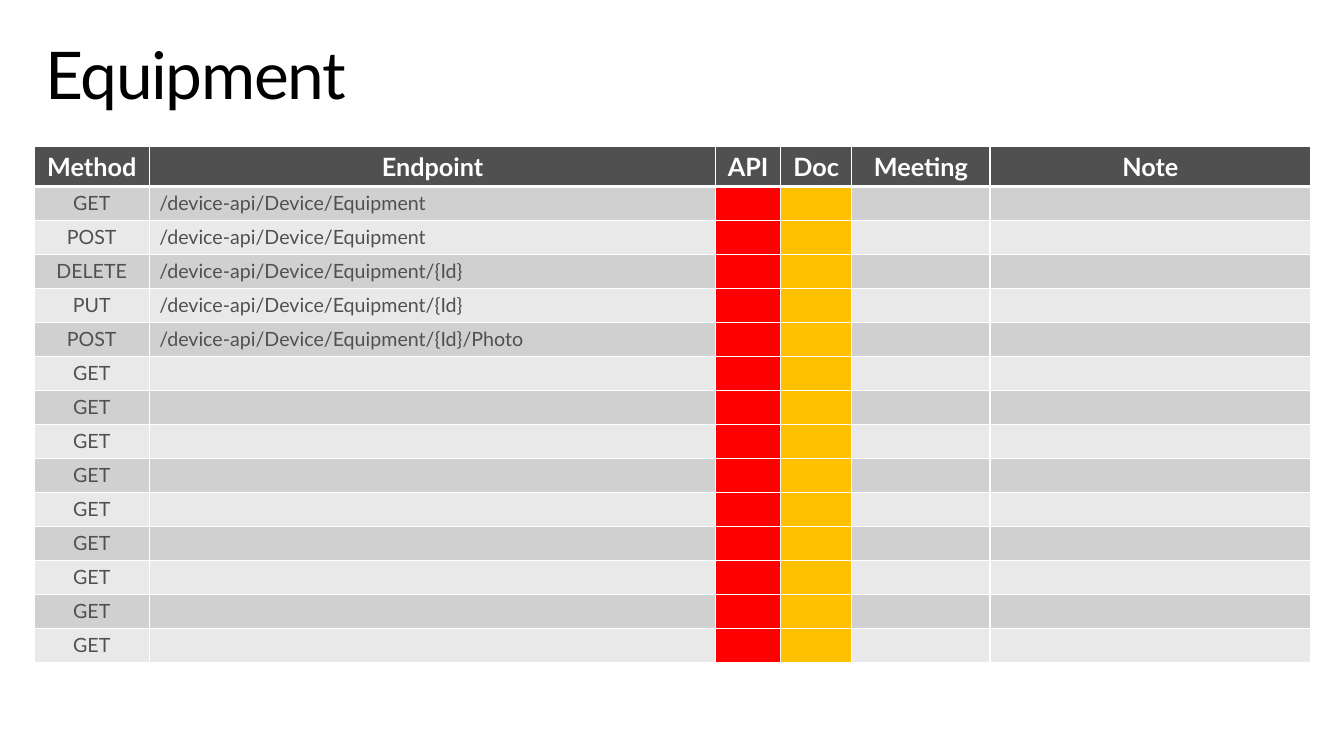
from lxml import etree
from pptx import Presentation
from pptx.dml.color import RGBColor
from pptx.enum import text
from pptx.oxml.ns import qn
from pptx.util import Inches, Pt

# Content
TITLE = "Equipment"
HEADERS = ["Method", "Endpoint", "API", "Doc", "Meeting", "Note"]
BASE = "/device-api/Device/Equipment"
CALLS = [
    ("GET", BASE),
    ("POST", BASE),
    ("DELETE", BASE + "/{Id}"),
    ("PUT", BASE + "/{Id}"),
    ("POST", BASE + "/{Id}/Photo"),
] + [("GET", "")] * 9

# Style
FONT = "Lato"
BLACK = RGBColor(0, 0, 0)
WHITE = RGBColor(0xFF, 0xFF, 0xFF)
GREY = RGBColor(0x50, 0x50, 0x50)
BANDS = [RGBColor(0xD0, 0xD0, 0xD0), RGBColor(0xE9, 0xE9, 0xE9)]
STATUS = {"API": RGBColor(0xFF, 0, 0), "Doc": RGBColor(0xFF, 0xC0, 0)}
COL_WIDTHS = [1.14, 5.62, 0.64, 0.71, 1.37, 3.18]
HEAD_HEIGHT, ROW_HEIGHT = 0.38, 0.32


def set_font(font, size, color, bold=False):
    font.name, font.size, font.bold = FONT, Pt(size), bold
    font.color.rgb = color


def set_borders(cell, **widths):
    """Give the cell white borders; the fill must follow them in the XML."""
    tc_pr = cell._tc.get_or_add_tcPr()
    for side in ("L", "R", "T", "B"):
        ln = etree.SubElement(tc_pr, qn("a:ln" + side), w=str(Pt(widths.get(side, 1))))
        fill = etree.SubElement(ln, qn("a:solidFill"))
        etree.SubElement(fill, qn("a:srgbClr"), val=str(WHITE))


def fill_cell(cell, words, color, size, font_color, bold, centered):
    cell.fill.solid()
    cell.fill.fore_color.rgb = color
    p = cell.text_frame.paragraphs[0]
    p.alignment = text.PP_ALIGN.CENTER if centered else text.PP_ALIGN.LEFT
    if words:
        p.text = words
        set_font(p.font, size, font_color, bold)
    else:  # an empty cell keeps its row low only with a small end mark
        etree.SubElement(p._p, qn("a:endParaRPr"), sz=str(size * 100))


prs = Presentation()
prs.slide_width, prs.slide_height = Inches(13.33), Inches(7.5)
slide = prs.slides.add_slide(prs.slide_layouts[5])

# Title
title = slide.shapes.title
title.left, title.top = Inches(0.29), Inches(0.32)
title.width, title.height = Inches(12.75), Inches(0.98)
tf = title.text_frame
tf.margin_left = tf.margin_right = Inches(0.16)
tf.margin_top = tf.margin_bottom = Inches(0.1)
tf.vertical_anchor = text.MSO_ANCHOR.TOP
tf.auto_size = text.MSO_AUTO_SIZE.NONE
p = tf.paragraphs[0]
p.alignment, p.line_spacing = text.PP_ALIGN.LEFT, 0.9
r = p.add_run()
r.text = TITLE
set_font(r.font, 47, BLACK)
r._r.get_or_add_rPr().set("spc", "-100")

# Table
table = slide.shapes.add_table(
    len(CALLS) + 1, len(HEADERS), Inches(0.34), Inches(1.45),
    Inches(sum(COL_WIDTHS)), Inches(HEAD_HEIGHT + ROW_HEIGHT * len(CALLS))).table
for column, width in zip(table.columns, COL_WIDTHS):
    column.width = Inches(width)
for i, row in enumerate(table.rows):
    row.height = Inches(ROW_HEIGHT if i else HEAD_HEIGHT)

# Header row
for c, header in enumerate(HEADERS):
    cell = table.cell(0, c)
    set_borders(cell, B=3)
    fill_cell(cell, header, GREY, 18, WHITE, True, True)

# Banded rows with status columns
for i, call in enumerate(CALLS):
    values = dict(zip(HEADERS, call))
    for c, header in enumerate(HEADERS):
        cell = table.cell(i + 1, c)
        set_borders(cell, T=1 if i else 3)
        fill_cell(cell, values.get(header, ""), STATUS.get(header, BANDS[i % 2]),
                  14, GREY, False, header == "Method")

prs.save("out.pptx")
